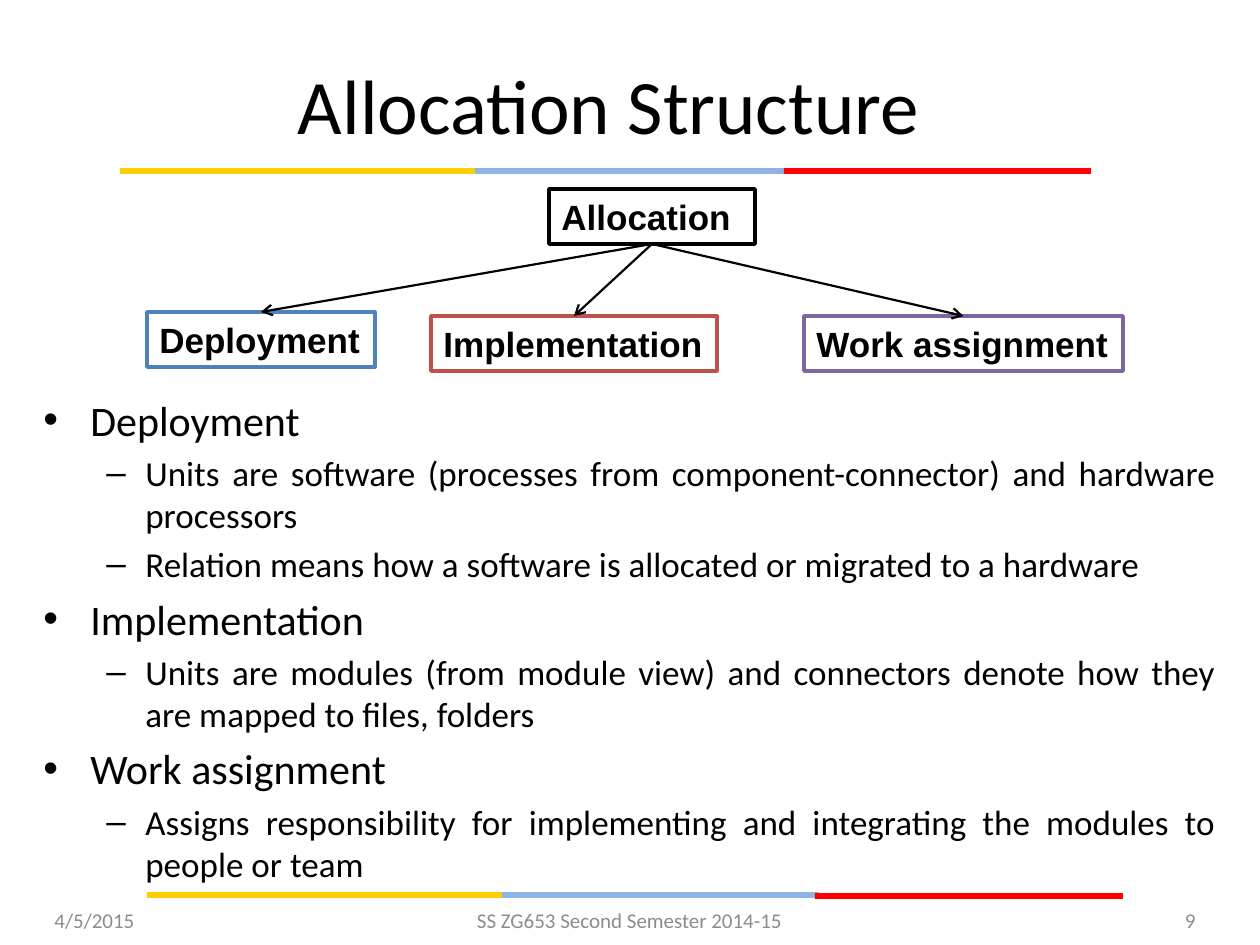
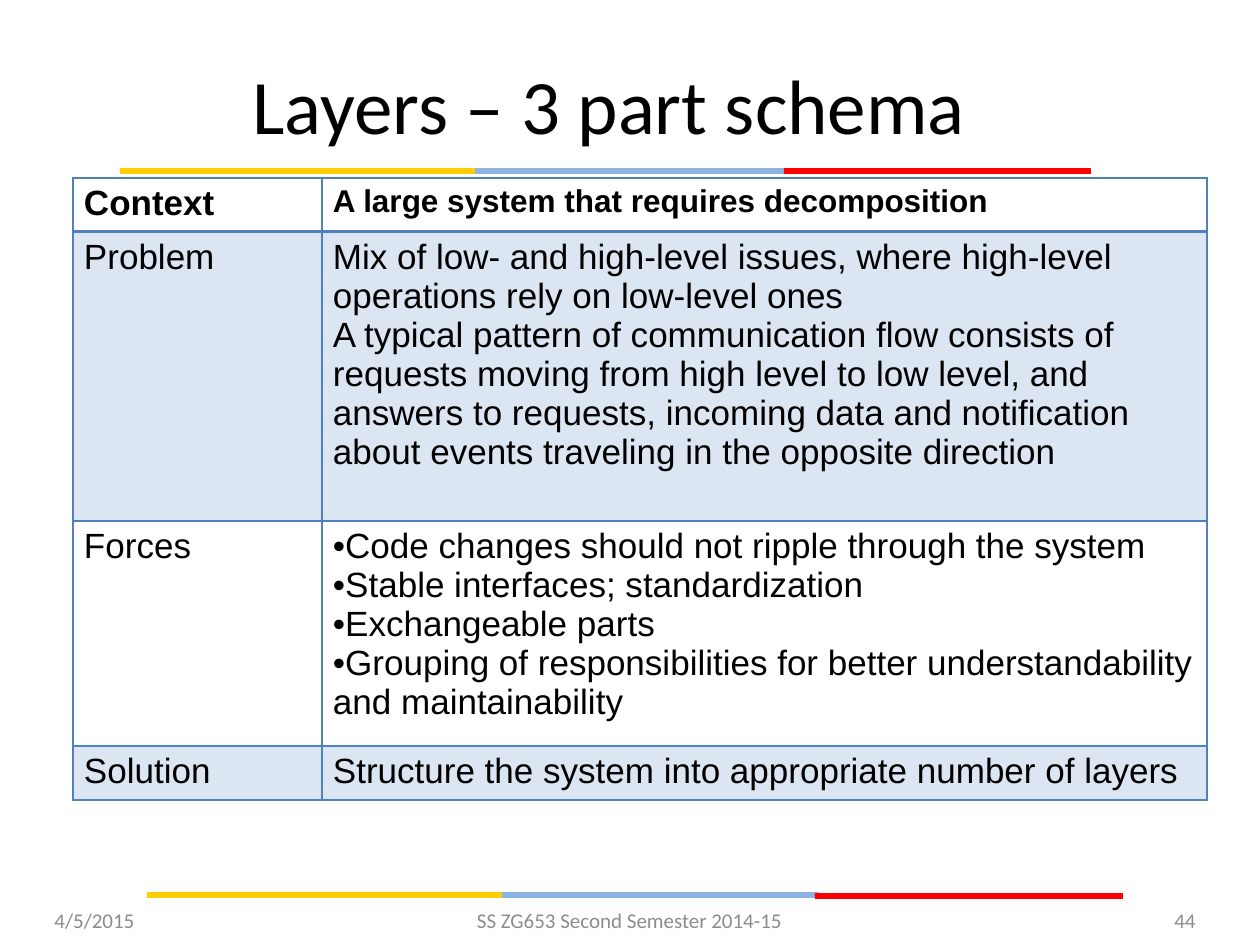
"""Build two architecture slides: an allocation tree and a table on layers."""
from lxml import etree
from pptx import Presentation
from pptx.dml.color import RGBColor
from pptx.enum.shapes import MSO_CONNECTOR, MSO_SHAPE
from pptx.enum.text import MSO_ANCHOR, PP_ALIGN
from pptx.oxml.ns import qn
from pptx.util import Emu, Pt

RECTANGLE = MSO_SHAPE.RECTANGLE
STRAIGHT = MSO_CONNECTOR.STRAIGHT
TOP, MIDDLE = MSO_ANCHOR.TOP, MSO_ANCHOR.MIDDLE
LEFT, CENTER, RIGHT, JUSTIFY = PP_ALIGN.LEFT, PP_ALIGN.CENTER, PP_ALIGN.RIGHT, PP_ALIGN.JUSTIFY
TOP_SIDE, BOTTOM_SIDE = 0, 2

BLACK = RGBColor(0x00, 0x00, 0x00)
WHITE = RGBColor(0xFF, 0xFF, 0xFF)
GRAY = RGBColor(0x8C, 0x8C, 0x8C)
YELLOW = RGBColor(0xFF, 0xCE, 0x00)
SKY = RGBColor(0x8E, 0xB4, 0xE3)
RED = RGBColor(0xFF, 0x00, 0x00)
BLUE = RGBColor(0x4F, 0x81, 0xBD)
BRICK = RGBColor(0xC0, 0x50, 0x4D)
PURPLE = RGBColor(0x80, 0x64, 0xA2)
PALE_BLUE = RGBColor(0xDC, 0xE6, 0xF2)

PX_PER_INCH = 126
SLIDE_SIZE = (1260, 945)
STRIPE_HEIGHT = 6
STRIPES = [
    (470, 168, 321, SKY), (784, 168, 307, RED), (120, 168, 355, YELLOW),
    (498, 892, 321, SKY), (815, 893, 308, RED), (147, 892, 355, YELLOW),
]
TITLE_BOX = (42, 39, 1134, 130)
FOOTER_TOP, FOOTER_HEIGHT = 895, 50
DATE = "4/5/2015"
COURSE = "SS ZG653 Second Semester 2014-15"

BOX_HEIGHT = 55
ROOT = ("Allocation", 549, 189, 206, BLACK)
BRANCHES = [
    ("Deployment", 147, 312, 228, BLUE),
    ("Implementation", 431, 316, 286, BRICK),
    ("Work assignment", 804, 316, 319, PURPLE),
]
OUTLINE_BOX = (31, 388, 1197, 462)
OUTLINE = [
    ("Deployment", [
        "Units are software (processes from component-connector) and hardware processors",
        "Relation means how a software is allocated or migrated to a hardware"]),
    ("Implementation", [
        "Units are modules (from module view) and connectors denote how they are mapped to files, folders"]),
    ("Work assignment", [
        "Assigns responsibility for implementing and integrating the modules to people or team"]),
]

TABLE_LEFT, TABLE_TOP = 73, 178
COLUMN_WIDTHS = [249, 885]
SCHEMA = [
    (52, "Context", ["A large system that requires decomposition"]),
    (289, "Problem", [
        "Mix of low- and high-level issues, where high-level operations rely on low-level ones",
        "A typical pattern of communication flow consists of requests moving from high level to low level, "
        "and answers to requests, incoming data and notification about events traveling in the opposite direction"]),
    (225, "Forces", [
        "Code changes should not ripple through the system",
        "Stable interfaces; standardization",
        "Exchangeable parts",
        "Grouping of responsibilities for better understandability and maintainability"]),
    (52, "Solution", ["Structure the system into appropriate number of layers"]),
]


def px(length):
    return Emu(round(length * 914400 / PX_PER_INCH))


def place(*lengths):
    return [px(length) for length in lengths]


def write(frame, text, size=20, font="Calibri", color=BLACK, bold=False, align=LEFT,
          before=0, bullet=None, margin=0, hanging=0):
    paragraph = frame.paragraphs[0]
    if paragraph.runs:
        paragraph = frame.add_paragraph()
    paragraph.alignment = align
    paragraph.space_before = Pt(before)
    run = paragraph.add_run()
    run.text = text
    run.font.name, run.font.size, run.font.bold = font, Pt(size), bold
    run.font.color.rgb = color
    if bullet:
        properties = paragraph._p.get_or_add_pPr()
        properties.set("marL", str(px(margin)))
        properties.set("indent", str(px(-hanging)))
        etree.SubElement(properties, qn("a:buFont"), typeface="Arial")
        etree.SubElement(properties, qn("a:buChar"), char=bullet)


def add_text_box(slide, box, anchor=MIDDLE):
    frame = slide.shapes.add_textbox(*place(*box)).text_frame
    frame.word_wrap = True
    frame.vertical_anchor = anchor
    return frame


def add_rectangle(slide, box, fill, line=None):
    shape = slide.shapes.add_shape(RECTANGLE, *place(*box))
    shape.shadow.inherit = False
    shape.fill.solid()
    shape.fill.fore_color.rgb = fill
    if line is None:
        shape.line.fill.background()
    else:
        shape.line.color.rgb = line
        shape.line.width = Pt(2)
    return shape


def add_base(presentation, title, number):
    slide = presentation.slides.add_slide(presentation.slide_layouts[6])
    for left, top, width, color in STRIPES:
        add_rectangle(slide, (left, top, width, STRIPE_HEIGHT), color)
    write(add_text_box(slide, TITLE_BOX), title, size=44, align=CENTER)
    footers = [(DATE, 42, 294, LEFT), (COURSE, 430, 399, CENTER), (number, 914, 294, RIGHT)]
    for text, left, width, align in footers:
        frame = add_text_box(slide, (left, FOOTER_TOP, width, FOOTER_HEIGHT))
        write(frame, text, size=12, color=GRAY, align=align)
    return slide


def add_tree_box(slide, label, left, top, width, color):
    shape = add_rectangle(slide, (left, top, width, BOX_HEIGHT), WHITE, color)
    frame = shape.text_frame
    frame.word_wrap = True
    frame.margin_right = 0
    frame.vertical_anchor = MIDDLE
    write(frame, label, font="Arial", bold=True)
    return shape


def add_arrow(slide, parent, child):
    connector = slide.shapes.add_connector(STRAIGHT, 0, 0, 0, 0)
    connector.begin_connect(parent, BOTTOM_SIDE)
    connector.end_connect(child, TOP_SIDE)
    connector.line.color.rgb = BLACK
    connector.line.width = Pt(1.25)
    etree.SubElement(connector.line._get_or_add_ln(), qn("a:tailEnd"), type="arrow")
    etree.SubElement(connector._element.spPr, qn("a:effectLst"))


def set_borders(cell, row_index):
    properties = cell._tc.get_or_add_tcPr()
    widths = {"L": 1, "R": 1, "T": 2 if row_index == 1 else 1, "B": 2 if row_index == 0 else 1}
    for side, width in widths.items():
        line = etree.SubElement(properties, qn(f"a:ln{side}"), w=str(Pt(width)))
        fill = etree.SubElement(line, qn("a:solidFill"))
        etree.SubElement(fill, qn("a:srgbClr"), val=str(BLUE))


def build_allocation(presentation):
    slide = add_base(presentation, "Allocation Structure", "9")
    root = add_tree_box(slide, *ROOT)
    for branch in BRANCHES:
        add_arrow(slide, root, add_tree_box(slide, *branch))
    frame = add_text_box(slide, OUTLINE_BOX, TOP)
    for heading, details in OUTLINE:
        write(frame, heading, size=24, align=JUSTIFY, before=4.8, bullet="•", margin=47, hanging=47)
        for detail in details:
            write(frame, detail, align=JUSTIFY, before=4, bullet="–", margin=102, hanging=39)


def build_schema(presentation):
    slide = add_base(presentation, "Layers – 3 part schema", "44")
    box = (TABLE_LEFT, TABLE_TOP, sum(COLUMN_WIDTHS), sum(row[0] for row in SCHEMA))
    table = slide.shapes.add_table(len(SCHEMA), len(COLUMN_WIDTHS), *place(*box)).table
    table.first_row = table.horz_banding = False
    for column, width in zip(table.columns, COLUMN_WIDTHS):
        column.width = px(width)
    for row_index, (height, label, lines) in enumerate(SCHEMA):
        table.rows[row_index].height = px(height)
        for column_index, texts in enumerate([[label], lines]):
            cell = table.cell(row_index, column_index)
            cell.margin_left = cell.margin_right = px(11)
            cell.margin_top = cell.margin_bottom = px(6)
            set_borders(cell, row_index)
            if row_index % 2:
                cell.fill.solid()
                cell.fill.fore_color.rgb = PALE_BLUE
            else:
                cell.fill.background()
            header = row_index == 0
            for text in texts:
                write(cell.text_frame, text, size=18 if header and column_index else 20, font="Arial",
                      bold=header, bullet="•" if label == "Forces" and column_index else None)


def main():
    presentation = Presentation()
    presentation.slide_width, presentation.slide_height = place(*SLIDE_SIZE)
    build_allocation(presentation)
    build_schema(presentation)
    presentation.save("out.pptx")


if __name__ == "__main__":
    main()
